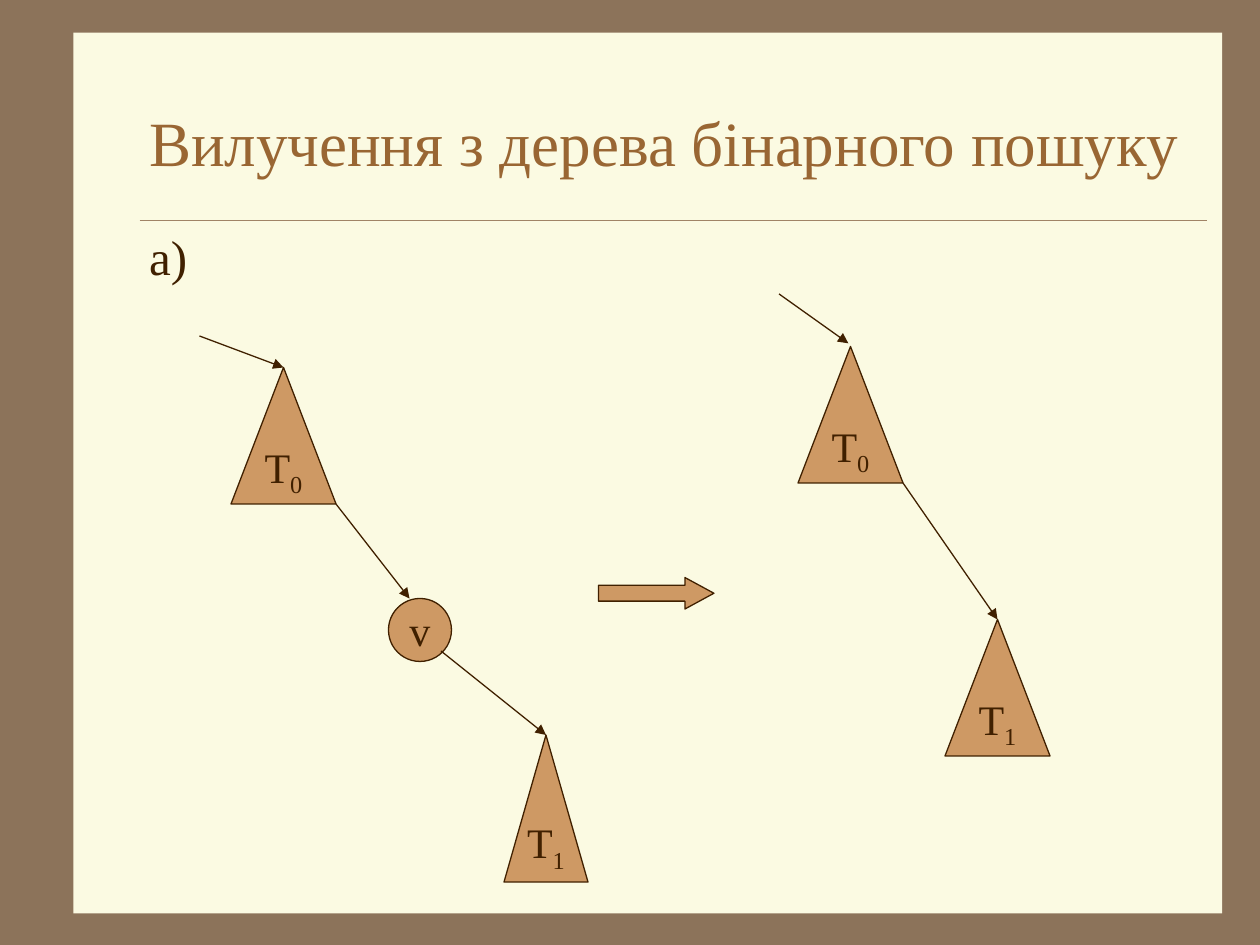
import lxml.etree
import pptx
import pptx.dml.color
import pptx.enum.shapes
import pptx.enum.text
import pptx.oxml.ns
import pptx.util

RGBColor = pptx.dml.color.RGBColor
FRAME = RGBColor(0x8C, 0x73, 0x5A)
PAPER = RGBColor(0xFB, 0xFA, 0xE2)
RULE = RGBColor(0xA0, 0x83, 0x66)
HEADING = RGBColor(0x99, 0x66, 0x33)
INK = RGBColor(0x40, 0x20, 0x00)
NODE = RGBColor(0xCE, 0x99, 0x64)

SHAPE = pptx.enum.shapes.MSO_SHAPE
ANCHOR = pptx.enum.text.MSO_ANCHOR
ALIGN = pptx.enum.text.PP_ALIGN
qn = pptx.oxml.ns.qn

presentation = pptx.Presentation()
presentation.slide_width = pptx.util.Inches(10)
presentation.slide_height = pptx.util.Inches(7.5)
CELL = presentation.slide_width / 120  # the slide is 120 columns by 90 rows


def grid(*cells):
    return [round(cell * CELL) for cell in cells]


def add_line(start, end, color=INK, width=0.75, arrow=True):
    line = slide.shapes.add_connector(
        pptx.enum.shapes.MSO_CONNECTOR.STRAIGHT, *grid(*start, *end))
    line.line.color.rgb = color
    line.line.width = pptx.util.Pt(width)
    if arrow:
        outline = line.line._get_or_add_ln()
        lxml.etree.SubElement(outline, qn("a:tailEnd"), type="triangle")
    lxml.etree.SubElement(line._element.spPr, qn("a:effectLst"))
    return line


slide = presentation.slides.add_slide(presentation.slide_layouts[1])
slide.background.fill.solid()
slide.background.fill.fore_color.rgb = FRAME

# Paper panel and rule lie behind the text
panel = slide.shapes.add_shape(SHAPE.RECTANGLE, *grid(7, 3.1, 109.4, 83.9))
panel.shadow.inherit = False
panel.fill.solid()
panel.fill.fore_color.rgb = PAPER
panel.line.fill.background()
rule = add_line((13.3, 21), (115, 21), RULE, 0.25, arrow=False)
for depth, backdrop in enumerate((panel, rule), start=2):
    slide.shapes._spTree.insert(depth, backdrop._element)

# Title and case label
title, body = slide.shapes.title, slide.placeholders[1]
for placeholder, text, box, anchor, size, color in (
    (title, "Вилучення з дерева бінарного пошуку", (13, 6, 102, 15), ANCHOR.MIDDLE, 36, HEADING),
    (body, "a)", (13, 21, 102, 64), ANCHOR.TOP, 28, INK),
):
    placeholder.left, placeholder.top, placeholder.width, placeholder.height = grid(*box)
    frame = placeholder.text_frame
    frame.text = text
    frame.auto_size = pptx.enum.text.MSO_AUTO_SIZE.NONE
    frame.vertical_anchor = anchor
    paragraph = frame.paragraphs[0]
    paragraph.alignment = ALIGN.LEFT
    paragraph.space_before = pptx.util.Pt(0)
    properties = paragraph._p.get_or_add_pPr()
    properties.set("marL", "0")
    properties.set("indent", "0")
    lxml.etree.SubElement(properties, qn("a:buNone"))
    font = paragraph.runs[0].font
    font.color.rgb = color
    for name, value in {"name": "Times New Roman", "size": pptx.util.Pt(size)}.items():
        setattr(font, name, value)

# Trees before and after the removal, and the arrow between them
shapes = {}
for key, kind, box, letter, subscript in (
    ("T0 before", SHAPE.ISOSCELES_TRIANGLE, (22, 35, 10, 13), "T", "0"),
    ("removed node", SHAPE.OVAL, (37, 57, 6, 6), "v", ""),
    ("T1 before", SHAPE.ISOSCELES_TRIANGLE, (48, 70, 8, 14), "T", "1"),
    ("T0 after", SHAPE.ISOSCELES_TRIANGLE, (76, 33, 10, 13), "T", "0"),
    ("T1 after", SHAPE.ISOSCELES_TRIANGLE, (90, 59, 10, 13), "T", "1"),
    ("step", SHAPE.RIGHT_ARROW, (57, 55, 11, 3), "", ""),
):
    shape = shapes[key] = slide.shapes.add_shape(kind, *grid(*box))
    shape.shadow.inherit = False
    shape.fill.solid()
    shape.fill.fore_color.rgb = NODE
    shape.line.color.rgb = INK
    shape.line.width = pptx.util.Pt(0.75)
    frame = shape.text_frame
    frame.word_wrap = False
    frame.vertical_anchor = ANCHOR.MIDDLE
    paragraph = frame.paragraphs[0]
    paragraph.alignment = ALIGN.CENTER
    for text in filter(None, (letter, subscript)):
        run = paragraph.add_run()
        run.text = text
        run.font.color.rgb = INK
        for name, value in {"name": "Times New Roman", "size": pptx.util.Pt(24)}.items():
            setattr(run.font, name, value)
        if text == subscript:
            run._r.get_or_add_rPr().set("baseline", "-25000")
shapes["step"].adjustments[1] = 0.92

# Links; those that reach the apex of a subtree are joined to it
for start, end, target in (
    ((19, 32), (27, 35), "T0 before"),
    ((32, 48), (39, 57), None),
    ((42, 62), (52, 70), "T1 before"),
    ((74.2, 28), (80.8, 32.7), None),
    ((86, 46), (95, 59), "T1 after"),
):
    link = add_line(start, end)
    if target:
        link.end_connect(shapes[target], 0)

presentation.save("out.pptx")
